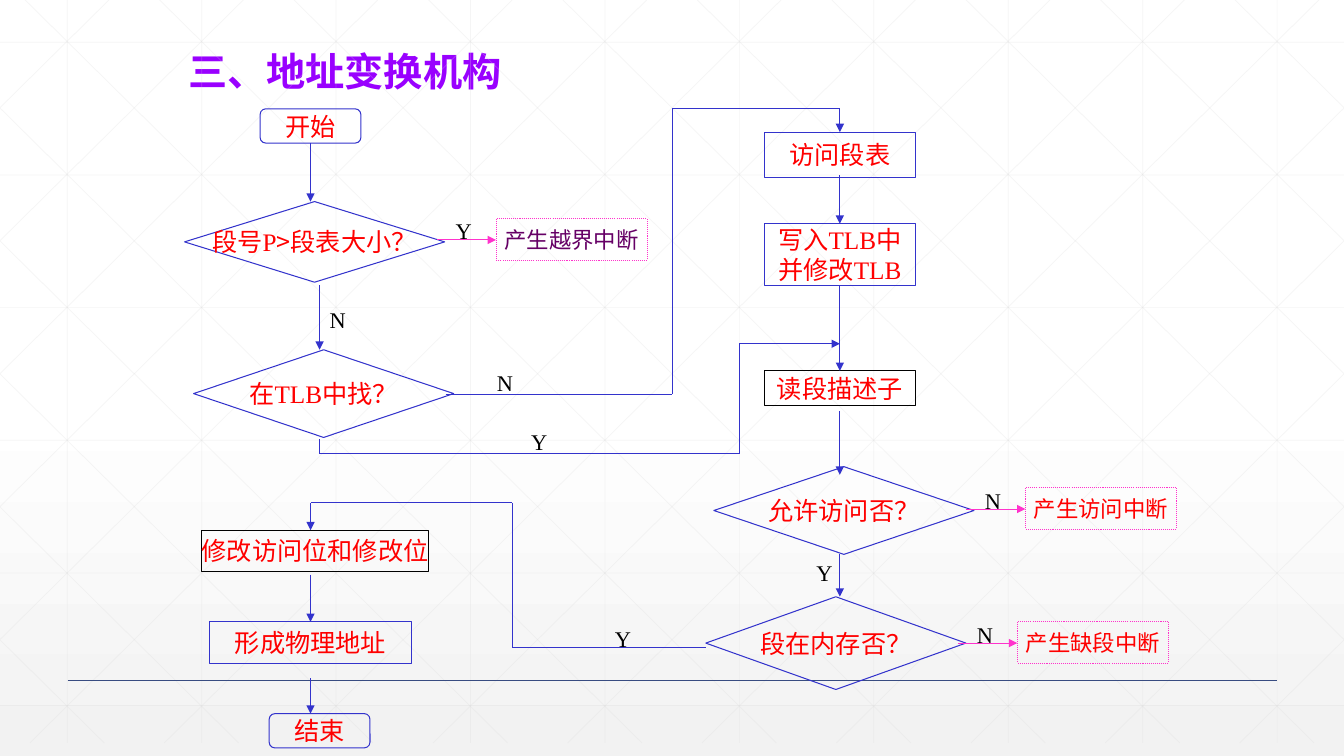
"""Build the address translation flowchart slide."""
from dataclasses import dataclass
from typing import Any

from lxml.etree import SubElement
from pptx import Presentation
from pptx.dml.color import RGBColor
from pptx.enum.dml import MSO_LINE
from pptx.enum.shapes import MSO_CONNECTOR, MSO_SHAPE
from pptx.enum.text import MSO_ANCHOR, MSO_AUTO_SIZE, PP_ALIGN
from pptx.oxml.ns import qn
from pptx.util import Inches, Pt

HUES = {"blue": "3333CC", "pink": "FF33CC", "red": "FF0000", "plum": "660066",
        "black": "000000", "title": "9900FF", "grid": "D9D9D9", "rule": "384C81",
        "white": "FFFFFF", "pale": "F2F2F2"}
SERIF, SANS = "Times New Roman", "Noto Sans CJK SC"
WIDE, HIGH, FOOT = 13.33, 7.5, 7.37
STEP, RISE, SLANT = 4 / 3, 1.316, 7.45
RECT, ROUND, RHOMB = MSO_SHAPE.RECTANGLE, MSO_SHAPE.ROUNDED_RECTANGLE, MSO_SHAPE.DIAMOND
BOX = {"word_wrap": False, "vertical_anchor": MSO_ANCHOR.MIDDLE}
NOTE = {"word_wrap": True, "vertical_anchor": MSO_ANCHOR.TOP,
        "auto_size": MSO_AUTO_SIZE.SHAPE_TO_FIT_TEXT}
HEAD = {"word_wrap": True, "vertical_anchor": MSO_ANCHOR.TOP, "auto_size": MSO_AUTO_SIZE.NONE}


@dataclass
class Node:
    """A framed step of the flow."""
    text: str
    left: float
    top: float
    width: float
    height: float
    kind: Any = RECT
    line: str = "blue"
    ink: str = "red"
    size: int = 18
    dash: Any = None


@dataclass
class Wire:
    """A path of straight lines through points."""
    points: list[tuple[float, float]]
    hue: str = "blue"
    width: float = 0.75
    arrow: bool = True
    alpha: int = 100


@dataclass
class Label:
    """A branch letter."""
    text: str
    left: float
    top: float


@dataclass
class Exit:
    """A branch that ends in an interrupt."""
    letter: str
    text: str
    left: float
    mid: float
    ink: str = "red"


NODES = [
    Node("开始", 2.58, 1.08, 1, 0.34, ROUND),
    Node("段号P>段表大小？", 1.83, 2, 2.58, 0.8, RHOMB),
    Node("在TLB中找？", 1.92, 3.47, 2.58, 0.87, RHOMB),
    Node("访问段表", 7.58, 1.31, 1.5, 0.45),
    Node("写入TLB中\n并修改TLB", 7.58, 2.22, 1.5, 0.61),
    Node("读段描述子", 7.58, 3.68, 1.5, 0.34, line="black"),
    Node("允许访问否？", 7.08, 4.63, 2.58, 0.87, RHOMB),
    Node("段在内存否？", 7, 5.92, 2.58, 0.92, RHOMB),
    Node("修改访问位和修改位", 2, 5.26, 2.25, 0.41, line="black"),
    Node("形成物理地址", 2.08, 6.17, 2, 0.41),
    Node("结束", 2.67, 7.08, 1, 0.34, ROUND),
]
DROPS = [(3.08, 1.42, 2), (3.17, 2.83, 3.47), (3.08, 5.7, 6.17), (3.08, 6.73, 7.08),
         (8.33, 1.74, 2.22), (8.33, 3.34, 3.68), (8.33, 4.08, 4.71), (8.33, 5.5, 5.92)]
WIRES = [Wire([(x, top), (x, end)]) for x, top, end in DROPS] + [
    Wire([(4.42, 3.91), (6.67, 3.91), (6.67, 1.08), (8.33, 1.08), (8.33, 1.31)]),
    Wire([(3.17, 4.36), (3.17, 4.5), (7.33, 4.5), (7.33, 3.41), (8.33, 3.41)]),
    Wire([(7, 6.42), (5.08, 6.42), (5.08, 4.99), (3.08, 4.99), (3.08, 5.26)]),
    Wire([(8.33, 2.83), (8.33, 3.42)], arrow=False),
]
LABELS = [Label("N", 3.17, 2.99), Label("N", 4.83, 3.61), Label("Y", 5.17, 4.2),
          Label("Y", 8, 5.5), Label("Y", 6, 6.15)]
EXITS = [Exit("Y", "产生越界中断", 4.33, 2.38, "plum"),
         Exit("N", "产生访问中断", 9.58, 5.05),
         Exit("N", "产生缺段中断", 9.5, 6.38)]


def tint(name: str) -> RGBColor:
    """Return the named colour."""
    return RGBColor.from_string(HUES[name])


def put(thing: Any, form: dict[str, Any]) -> None:
    """Set each format value on an object."""
    for key, value in form.items():
        setattr(thing, key, value)


def write(frame: Any, text: str, form: dict[str, Any], ink: str, size: int,
          align: Any = PP_ALIGN.CENTER, face: str = SERIF, bold: bool = False) -> None:
    """Fill a text frame, one paragraph a line."""
    put(frame, form)
    for i, line in enumerate(text.split("\n")):
        para = frame.add_paragraph() if i else frame.paragraphs[0]
        para.alignment = align
        for part in filter(None, line.partition(">")):
            run = para.add_run()
            run.text = part
            put(run.font, {"name": SANS if part == ">" else face,
                           "size": Pt(size), "bold": bold})
            run.font.color.rgb = tint(ink)
            SubElement(run.font._element, qn("a:ea"), typeface=SANS)


def draw_wire(shapes: Any, wire: Wire) -> None:
    """Draw a path, with its arrowhead on the last line."""
    for start, end in zip(wire.points, wire.points[1:]):
        link = shapes.add_connector(MSO_CONNECTOR.STRAIGHT, *map(Inches, start + end))
        link.line.width = Pt(wire.width)
        link.line.color.rgb = tint(wire.hue)
        edge = link.line._get_or_add_ln()
        if wire.alpha < 100:
            SubElement(edge.find(".//" + qn("a:srgbClr")), qn("a:alpha"),
                       val=str(wire.alpha * 1000))
        if wire.arrow and end == wire.points[-1]:
            SubElement(edge, qn("a:tailEnd"), type="triangle")
        SubElement(link._element.spPr, qn("a:effectLst"))


def draw_node(shapes: Any, node: Node) -> None:
    """Draw a framed step."""
    shape = shapes.add_shape(node.kind, *map(Inches, (node.left, node.top, node.width, node.height)))
    shape.shadow.inherit = False
    shape.fill.background()
    shape.line.color.rgb = tint(node.line)
    put(shape.line, {"width": Pt(0.75), "dash_style": node.dash})
    write(shape.text_frame, node.text, BOX, node.ink, node.size)


def draw_label(shapes: Any, label: Label) -> None:
    """Draw a branch letter."""
    box = shapes.add_textbox(*map(Inches, (label.left, label.top, 0.33, 0.37)))
    write(box.text_frame, label.text, NOTE, "black", 16, PP_ALIGN.LEFT)


def draw_exit(shapes: Any, item: Exit) -> None:
    """Draw an arrow, its letter and a dotted box."""
    x, y = item.left, item.mid
    draw_wire(shapes, Wire([(x, y), (x + 0.59, y)], "pink"))
    draw_node(shapes, Node(item.text, x + 0.59, y - 0.21, 1.5, 0.41, RECT, "pink",
                           item.ink, 16, MSO_LINE.ROUND_DOT))
    draw_label(shapes, Label(item.letter, x + 0.09, y - 0.27))


def draw_grid(shapes: Any) -> None:
    """Draw the faint lattice and the rule near the foot."""
    paths = [[(STEP * (i + 0.5), 0), (STEP * (i + 0.5), FOOT)] for i in range(10)]
    paths += [[(0, 0.42 + RISE * i), (WIDE, 0.42 + RISE * i)] for i in range(6)]
    for i in range(-5, 10):
        x = 0.25 + STEP * i
        ends = [(e, (e - x) * FOOT / SLANT) for e in (max(x, 0), min(x + SLANT, WIDE))]
        paths += [ends, [(WIDE - e, y) for e, y in ends]]
    for points in paths:
        draw_wire(shapes, Wire(points, "grid", 0.5, False, 25))
    draw_wire(shapes, Wire([(0.67, 6.75), (12.67, 6.75)], "rule", 1, False))


def main() -> None:
    """Build and save the deck."""
    deck = Presentation()
    put(deck, {"slide_width": Inches(WIDE), "slide_height": Inches(HIGH)})
    slide = deck.slides.add_slide(deck.slide_layouts[5])
    fill = slide.background.fill
    fill.gradient()
    fill.gradient_angle = 270
    for stop, place, name in zip(fill.gradient_stops, (0.53, 1), ("white", "pale")):
        stop.position = place
        stop.color.rgb = tint(name)
    shapes = slide.shapes
    draw_grid(shapes)
    put(shapes.title, {"left": Inches(1.67), "top": Inches(0.42),
                       "width": Inches(3.5), "height": Inches(0.57)})
    write(shapes.title.text_frame, "三、地址变换机构", HEAD, "title", 28, face="Arial", bold=True)
    for draw, items in ((draw_node, NODES), (draw_wire, WIRES),
                        (draw_label, LABELS), (draw_exit, EXITS)):
        for item in items:
            draw(shapes, item)
    deck.save("out.pptx")


if __name__ == "__main__":
    main()
